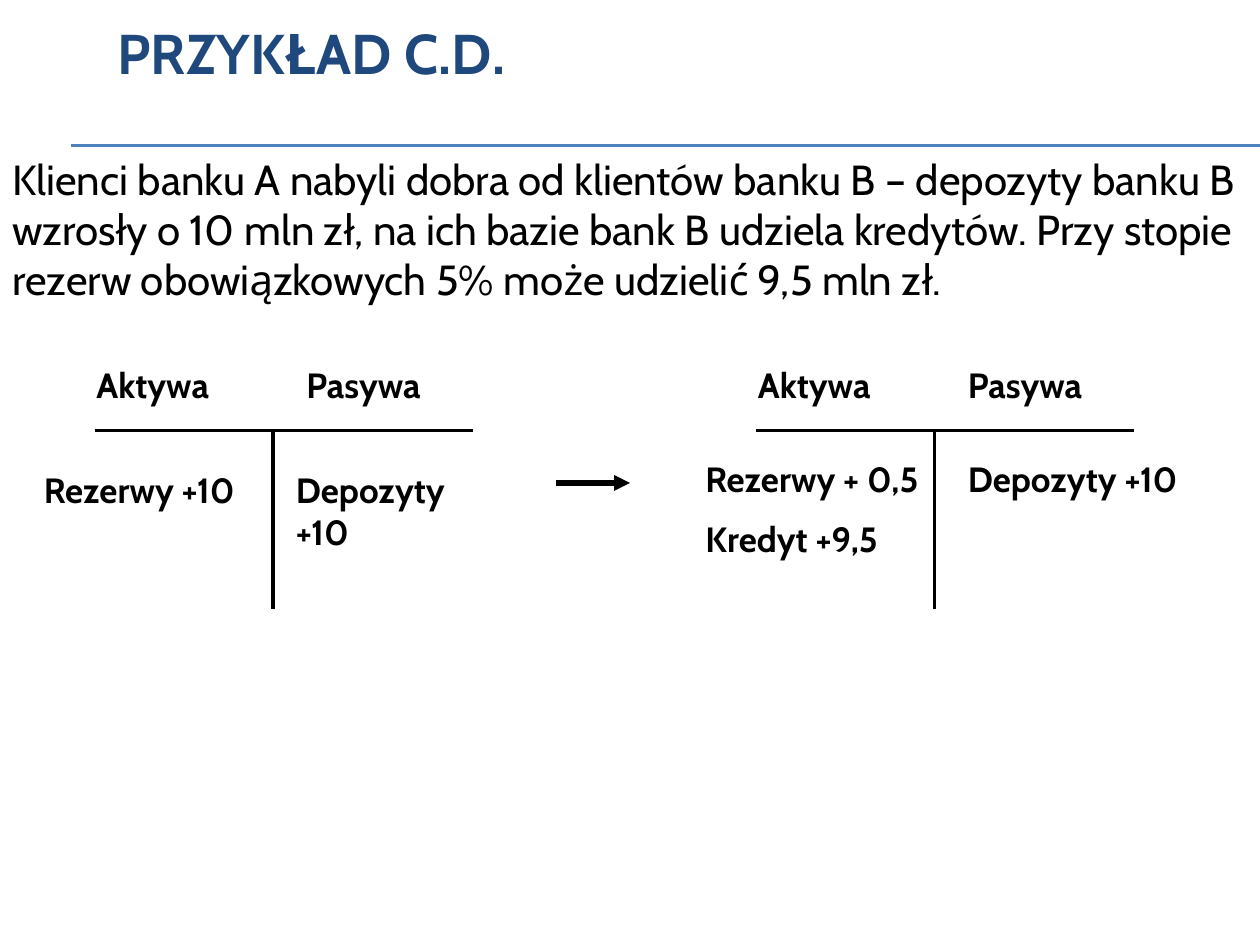
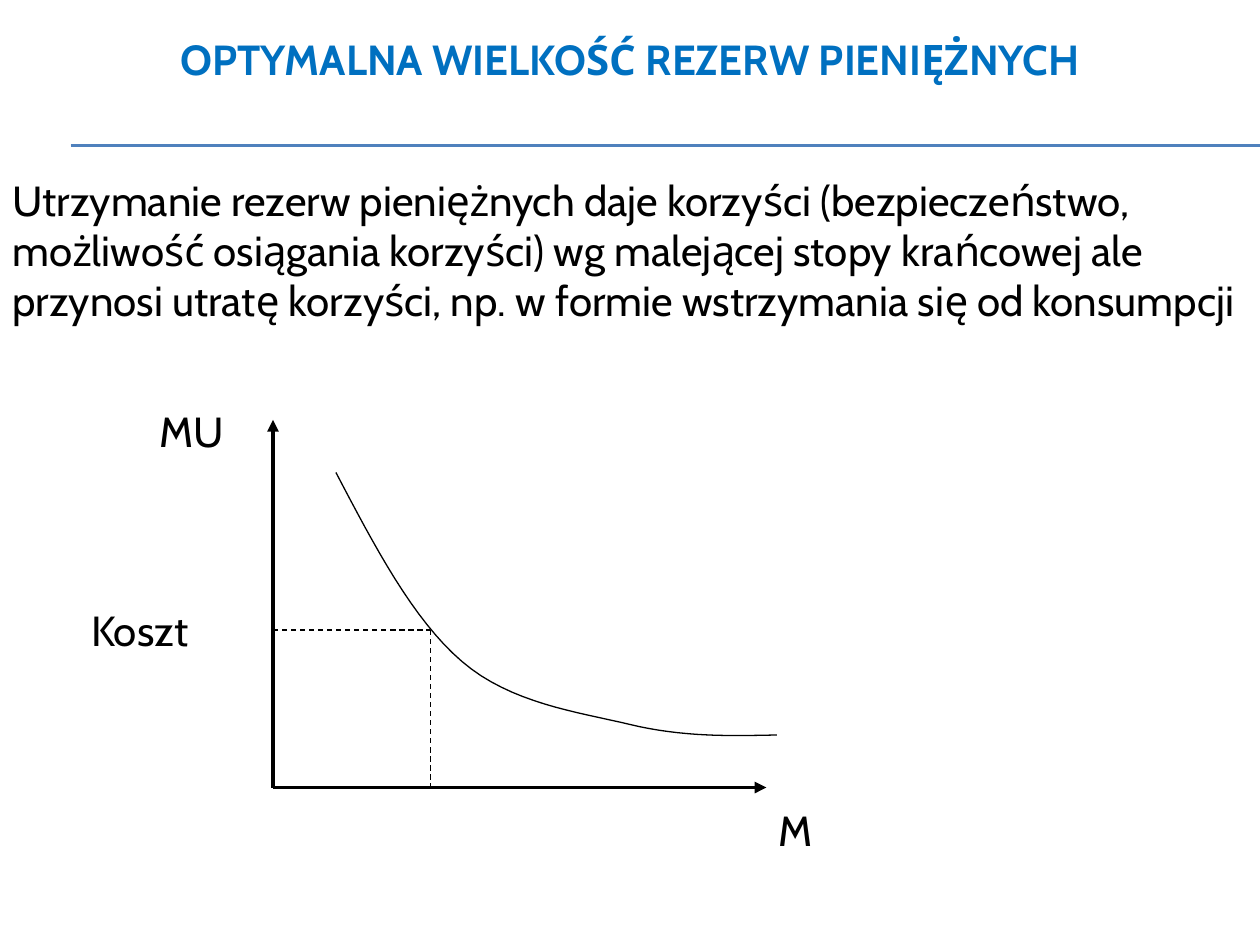
from lxml import etree
from pptx import Presentation
from pptx import util as u
from pptx.dml import color as dml_color
from pptx.enum import dml, text
from pptx.oxml import ns

COLUMNS, ROWS = 120, 90  # twelve grid cells to the inch


def paint(hex_code):
    return dml_color.RGBColor.from_string(hex_code)


def bezier(start, curves, steps=16):
    """Points along a chain of cubic curves, each given as two handles and an end."""
    points = [start]
    for first, second, end in curves:
        corners = (points[-1], first, second, end)
        for step in range(1, steps + 1):
            t = step / steps
            weights = ((1 - t) ** 3, 3 * t * (1 - t) ** 2, 3 * t * t * (1 - t), t ** 3)
            points.append(tuple(sum(w * corner[axis] for w, corner in zip(weights, corners))
                                for axis in (0, 1)))
    return points


class Deck:
    font = "Cabin"
    black, navy, blue, rule = "000000", "1F497D", "0070C0", "4F81BD"

    def __init__(self):
        self.deck = Presentation()
        self.deck.slide_width, self.deck.slide_height = u.Inches(10), u.Inches(7.5)
        self.layout = self.deck.slide_layouts[5]
        self.page = self.canvas = None

    def x(self, columns):
        return round(self.deck.slide_width * columns / COLUMNS)

    def y(self, rows):
        return round(self.deck.slide_height * rows / ROWS)

    def new_page(self):
        self.page = self.deck.slides.add_slide(self.layout)
        self.canvas = self.page.shapes

    def share_rules(self):
        """Draw the double rule under the title and hand it to the layout."""
        for number, row in enumerate((13.8, 13.92)):
            line = self.line((6.72, row), (COLUMNS, row), 0.75, self.rule)
            line.element.nvCxnSpPr.cNvPr.set("id", str(90 + number))
            self.layout.shapes.element.append(line.element)

    def add_span(self, para, words, size, color, bold):
        span = para.add_run()
        span.text = words
        span.font.name, span.font.size, span.font.bold = self.font, u.Pt(size), bold
        span.font.color.rgb = paint(color)

    def title(self, words, column, height, size, color, align):
        box = self.page.shapes.title
        box.left, box.top = self.x(column), 0
        box.width, box.height = self.x(102), self.y(height)
        box.text_frame.vertical_anchor = text.MSO_ANCHOR.MIDDLE
        para = box.text_frame.paragraphs[0]
        para.alignment = align
        self.add_span(para, words, size, color, True)

    def label(self, lines, column, row, width, height=6, size=24, bold=False):
        box = self.canvas.add_textbox(self.x(column), self.y(row), self.x(width), self.y(height))
        frame = box.text_frame
        frame.word_wrap = True
        frame.auto_size = text.MSO_AUTO_SIZE.SHAPE_TO_FIT_TEXT
        for number, words in enumerate(lines):
            para = frame.add_paragraph() if number else frame.paragraphs[0]
            if number:
                para.space_before = u.Pt(size / 2)
            self.add_span(para, words, size, self.black, bold)

    def line(self, start, end, weight, color=black, arrow=False, dashed=False):
        line = self.canvas.add_connector(1, self.x(start[0]), self.y(start[1]),
                                         self.x(end[0]), self.y(end[1]))
        line.line.color.rgb = paint(color)
        line.line.width = u.Pt(weight)
        if dashed:
            line.line.dash_style = dml.MSO_LINE.DASH
        if arrow:
            etree.SubElement(line.get_or_add_ln(), ns.qn("a:tailEnd"), type="triangle")
        etree.SubElement(line.element.spPr, ns.qn("a:effectLst"))
        return line

    def curve(self, points, weight):
        places = [(self.x(column), self.y(row)) for column, row in points]
        builder = self.canvas.build_freeform(*places[0])
        builder.add_line_segments(places[1:], close=False)
        shape = builder.convert_to_shape()
        shape.shadow.inherit = False
        shape.fill.background()
        shape.line.color.rgb = paint(self.black)
        shape.line.width = u.Pt(weight)

    def account(self, left, row, assets, liabilities, offset, width):
        """T-account: headed crossbar, stem and the entries on both sides."""
        self.canvas = self.page.shapes.add_group_shape().shapes
        stem = left + 17
        self.line((left, 41), (left + 36, 41), 2.25)
        self.line((stem, 41), (stem, 58), 2.25)
        for words, column, span in (("Aktywa", left - 1, 16), ("Pasywa", left + 19, 17)):
            self.label([words], column, 34, span, 5.2, 20, True)
        self.label(assets, left - 6, row, 23, 5.2 + 6 * (len(assets) - 1), 20, True)
        self.label(liabilities, left + offset, row, width, 5.2, 20, True)
        self.canvas = self.page.shapes


def bank_example(deck):
    deck.title("PRZYKŁAD C.D.", 10, 10, 32, deck.navy, text.PP_ALIGN.LEFT)
    deck.label(["Klienci banku A nabyli dobra od klientów banku B – depozyty banku B "
                "wzrosły o 10 mln zł, na ich bazie bank B udziela kredytów. Przy stopie "
                "rezerw obowiązkowych 5% może udzielić 9,5 mln zł."], 0, 14, COLUMNS, 15.6)
    # Balance before and after lending
    deck.account(9, 44, ["Rezerwy +10"], ["Depozyty +10"], 18, 22)
    deck.line((53, 46), (60, 46), 3, arrow=True)
    deck.account(72, 43, ["Rezerwy + 0,5", "Kredyt +9,5"], ["Depozyty +10"], 19, 25)


def optimal_reserves(deck):
    deck.title("OPTYMALNA WIELKOŚĆ REZERW PIENIĘŻNYCH", 9, 11.25, 24, deck.blue,
               text.PP_ALIGN.CENTER)
    deck.label(["Utrzymanie rezerw pieniężnych daje korzyści (bezpieczeństwo, "
                "możliwość osiągania korzyści) wg malejącej stopy krańcowej ale "
                "przynosi utratę korzyści, np. w formie wstrzymania się od konsumpcji"],
               0, 16, COLUMNS, 15.6)
    # Axes
    origin, optimum = (26, 75), (41, 60)
    deck.line(origin, (26, 40), 2.25, arrow=True)
    deck.line(origin, (73, 75), 2.25, arrow=True)
    # Marginal utility
    deck.curve(bezier((32, 45), [((35.67, 52), (39.33, 59), (44, 63)),
                                 ((48.67, 67), (55, 67.8), (60, 69)),
                                 ((65, 70.2), (69.5, 70.1), (74, 70))]), 0.75)
    # Optimum
    deck.line((origin[0], optimum[1]), optimum, 0.75, dashed=True)
    deck.line(optimum, (optimum[0], origin[1]), 0.75, dashed=True)
    # Axis labels
    for words, column, row, width in (("MU", 14, 38, 9), ("M", 73, 76, 13),
                                      ("Koszt", 7.5, 57, 16.5)):
        deck.label([words], column, row, width)


def main():
    deck = Deck()
    deck.new_page()
    deck.share_rules()
    bank_example(deck)
    deck.new_page()
    optimal_reserves(deck)
    deck.deck.save("out.pptx")


if __name__ == "__main__":
    main()
